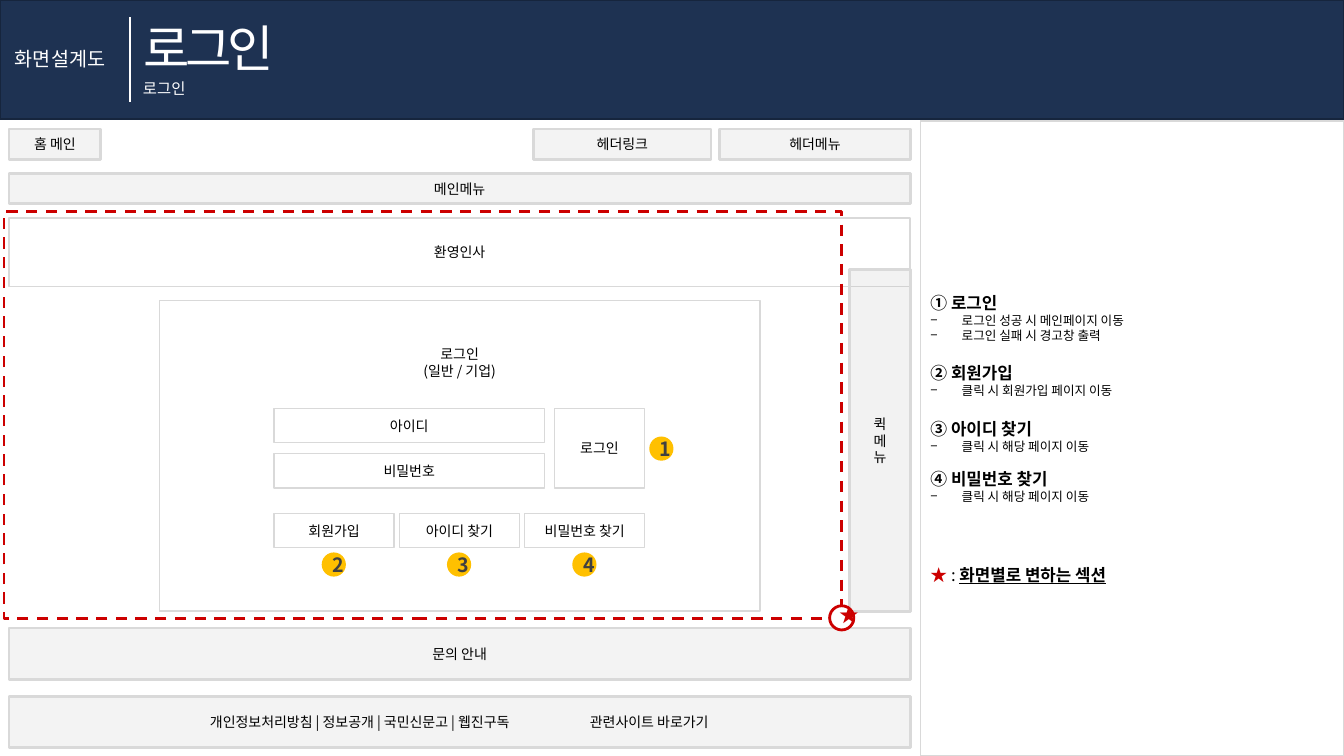
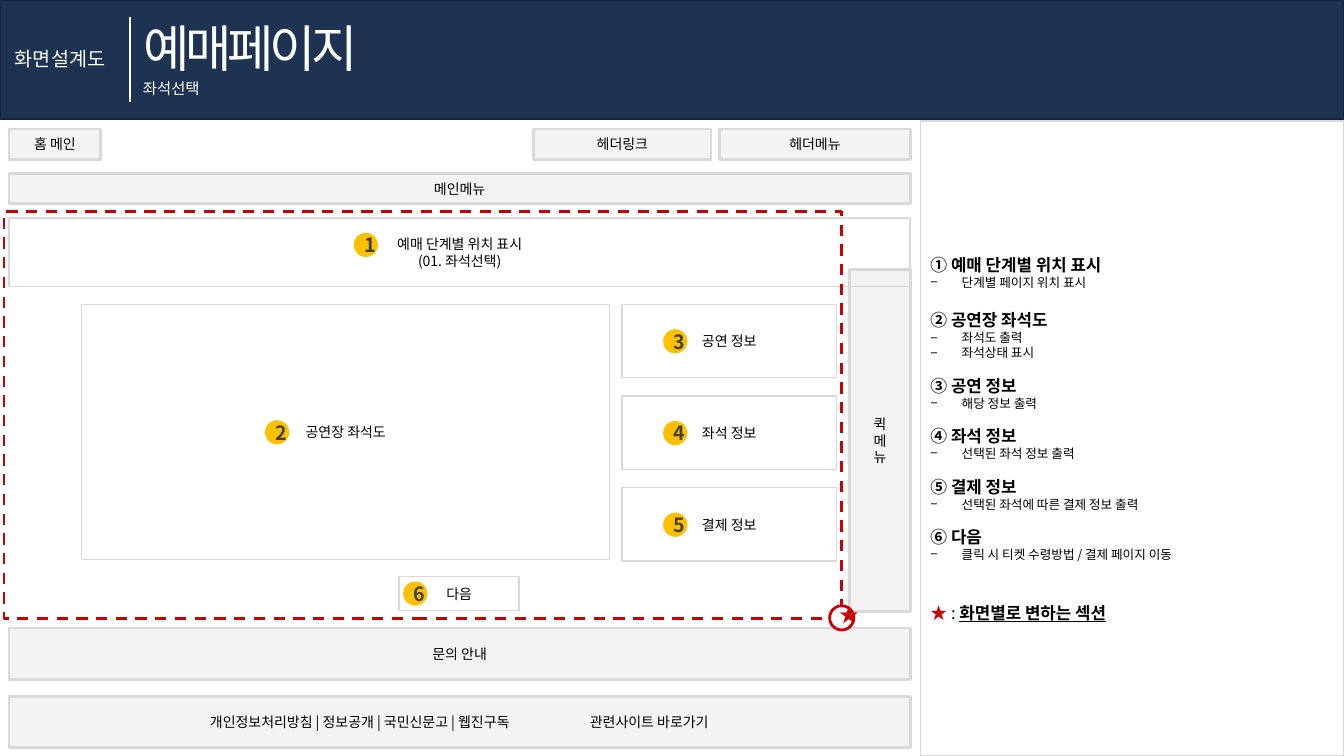
from collections import namedtuple
from dataclasses import dataclass

from lxml.etree import SubElement
from pptx import Presentation
from pptx.dml.color import RGBColor
from pptx.enum.dml import MSO_LINE
from pptx.enum.shapes import MSO_CONNECTOR, MSO_SHAPE
from pptx.enum.text import MSO_ANCHOR, MSO_AUTO_SIZE, PP_ALIGN
from pptx.oxml.ns import qn
from pptx.util import Pt


@dataclass(frozen=True)
class Theme:
    navy: str = "1E3252"
    edge: str = "16253D"
    white: str = "FFFFFF"
    black: str = "000000"
    dark: str = "404040"
    gray: str = "D9D9D9"
    steel: str = "BFBFBF"
    red: str = "CC0000"
    gold: str = "FFC000"
    face: str = "Noto Sans CJK KR"
    latin: str = "Roboto"
    title: float = 36
    mark: float = 14
    head: float = 12
    sub: float = 11
    body: float = 10
    small: float = 9
    lead: float = 1.2
    thin: float = 1
    thick: float = 2


T = Theme()
DOT = 17.3


class Box(namedtuple("Box", "x y w h")):
    def inner(self, x, y, w, h):
        return Box(self.x + x, self.y + y, w, h)

    def pts(self):
        return [Pt(round(v, 2)) for v in self]


def say(para, text, size=T.body, color=T.black, face=T.face, bold=False,
        under=False, track=0):
    run = para.add_run()
    run.text = text
    font = run.font
    font.name = face
    SubElement(font._element, qn("a:ea"), typeface=T.face)
    font.size = Pt(size)
    font.bold = bold
    font.underline = under
    font.color.rgb = RGBColor.from_string(color)
    if track:
        font._element.set("spc", str(track * 100))
    para.line_spacing = Pt(round(size * T.lead, 2))


def fill(frame, text, align=PP_ALIGN.CENTER, **form):
    for num, line in enumerate(text.split("\n")):
        para = frame.add_paragraph() if num else frame.paragraphs[0]
        para.alignment = align
        say(para, line, **form)


def paint(shape, tint=None, line=None, width=T.thin, alpha=None):
    if tint:
        shape.fill.solid()
        shape.fill.fore_color.rgb = RGBColor.from_string(tint)
    else:
        shape.fill.background()
    if alpha:
        color = shape._element.spPr.find(qn("a:solidFill"))[0]
        SubElement(color, qn("a:alpha"), val=str(alpha * 1000))
    if line:
        shape.line.color.rgb = RGBColor.from_string(line)
        shape.line.width = Pt(width)
    else:
        shape.line.fill.background()


def draw(slide, area, text="", kind=MSO_SHAPE.RECTANGLE, tint=T.white,
         line=T.gray, width=T.thin, alpha=None, **form):
    shape = slide.shapes.add_shape(kind, *area.pts())
    shape.shadow.inherit = False
    paint(shape, tint, line, width, alpha)
    if text:
        fill(shape.text_frame, text, **form)
    return shape


def pane(slide, area, text="", tint=T.gray, alpha=30):
    return draw(slide, area, text, tint=tint, alpha=alpha, width=T.thick)


def badge(slide, area, num):
    draw(slide, area, str(num), kind=MSO_SHAPE.OVAL, tint=T.gold, line=None,
         size=T.mark, color=T.dark, bold=True)


def label(slide, area, text, **form):
    frame = slide.shapes.add_textbox(*area.pts()).text_frame
    frame.word_wrap = True
    fill(frame, text, **form)


def place(shape, area):
    shape.left, shape.top, shape.width, shape.height = area.pts()
    frame = shape.text_frame
    frame.auto_size = MSO_AUTO_SIZE.NONE
    frame.vertical_anchor = MSO_ANCHOR.MIDDLE
    return frame


def banner(slide, area, title, sub):
    band = draw(slide, area, tint=T.navy, line=T.edge)
    tree = band._element.getparent()
    tree.insert(2, band._element)
    left = dict(align=PP_ALIGN.LEFT, color=T.white)
    frame = place(slide.shapes.title, area.inner(95, 8, 500, 51))
    fill(frame, title, size=T.title, track=-3, **left)
    label(slide, area.inner(3.6, 30.2, 85, 24.5), "화면설계도", size=T.mark, **left)
    label(slide, area.inner(95, 53.3, 300, 21), sub, size=T.sub, face=T.latin, **left)
    x, top, _, tall = area.inner(92.9, 12.2, 0, 60.5).pts()
    rule = slide.shapes.add_connector(MSO_CONNECTOR.STRAIGHT, x, top, x, top + tall)
    rule.line.color.rgb = RGBColor.from_string(T.white)
    rule.line.width = Pt(1.5)
    SubElement(rule._element.spPr, qn("a:effectLst"))


def wire(slide, area, greet):
    for x, y, w, h, text in (
        (6.5, 7.2, 65.5, 21.6, "홈 메인"),
        (381.2, 7.2, 126.7, 21.6, "헤더링크"),
        (514, 7.2, 136.2, 21.6, "헤더메뉴"),
        (6.5, 39, 643.7, 21.6, "메인메뉴"),
        (6.5, 363.6, 643.7, 36.7, "문의 안내"),
    ):
        pane(slide, area.inner(x, y, w, h), text)
    foot = pane(slide, area.inner(6.5, 412.5, 643.7, 36.7))
    frame = foot.text_frame
    frame.margin_left = Pt(143.5)
    tabs = SubElement(frame.paragraphs[0]._p.get_or_add_pPr(), qn("a:tabLst"))
    SubElement(tabs, qn("a:tab"), pos=str(Pt(271.4)), algn="l")
    fill(frame, "개인정보처리방침 | 정보공개 | 국민신문고 | 웹진구독\t관련사이트 바로가기",
         align=PP_ALIGN.LEFT)
    draw(slide, area.inner(6.5, 70.8, 643.7, 49), greet)
    pane(slide, area.inner(607, 107.6, 43.2, 244), "퀵\n메\n뉴", tint=T.steel, alpha=20)


def zone(slide, area):
    edge = draw(slide, area, tint=None, line=T.red, width=T.thick)
    edge.line.dash_style = MSO_LINE.DASH
    ring = area.inner(area.w - 8.6, area.h - 9.4, DOT, DOT)
    draw(slide, ring, kind=MSO_SHAPE.OVAL, line=T.red, width=T.thick)
    label(slide, ring.inner(0, -5.8, DOT, 24.5), "★", size=T.mark, color=T.red)


def login(slide, area):
    card = area.inner(110.9, 63.4, 429, 221.8)
    form = draw(slide, card, "로그인\n(일반 / 기업)")
    form.text_frame.vertical_anchor = MSO_ANCHOR.TOP
    form.text_frame.margin_top = Pt(32)
    for row, text in enumerate(("아이디", "비밀번호")):
        draw(slide, card.inner(82, 77 + row * 32.4, 193, 24.6), text)
    draw(slide, card.inner(282.2, 77, 64.4, 57), "로그인")
    badge(slide, card.inner(350, 97.2, DOT, DOT), 1)
    for col, text in enumerate(("회원가입", "아이디 찾기", "비밀번호 찾기")):
        key = card.inner(82 + col * 89.5, 152, 85.7, 24.6)
        draw(slide, key, text)
        badge(slide, key.inner(34, 28, DOT, DOT), col + 2)


def seats(slide, area):
    plan = area.inner(55.4, 66.2, 377.3, 182.2)
    draw(slide, plan, "공연장 좌석도")
    badge(slide, area.inner(249.8, 15.1, DOT, DOT), 1)
    badge(slide, plan.inner(131, 82.8, DOT, DOT), 2)
    for row, text in enumerate(("공연 정보", "좌석 정보", "결제 정보")):
        card = plan.inner(385.9, row * 65.5, 153.4, 52.4)
        draw(slide, card, text)
        badge(slide, card.inner(29.5, 17.8, DOT, DOT), row + 3)
    key = area.inner(282.2, 260.6, 85.7, 24.5)
    draw(slide, key, "다음")
    badge(slide, key.inner(2.9, 3.6, DOT, DOT), 6)


def notes(slide, area, items, tail):
    panel = slide.placeholders[1]
    frame = place(panel, area)
    paint(panel, T.white, T.gray)

    def line(gap=0, mark=None):
        first = not frame.paragraphs[0].runs
        para = frame.paragraphs[0] if first else frame.add_paragraph()
        prop = para._p.get_or_add_pPr()
        dent = Pt(22.3) if mark else 0
        prop.set("marL", str(dent))
        prop.set("indent", str(-dent))
        if mark:
            SubElement(prop, qn("a:buChar"), char=mark)
        else:
            SubElement(prop, qn("a:buNone"))
        para.alignment = PP_ALIGN.LEFT
        para.space_before = Pt(gap)
        return para

    for gap, head, rows in items:
        say(line(gap), head, size=T.head, bold=True)
        for row in rows:
            say(line(mark="−"), row, size=T.small)
    para = line(tail)
    say(para, "★ ", size=T.head, color=T.red, bold=True)
    say(para, ": ", size=T.head)
    say(para, "화면별로 변하는 섹션", size=T.head, bold=True, under=True)


WIDE, SLIM = 14.4, 10.8
PAGES = (
    ("로그인", "로그인", "환영인사", login, 43.2, (
        (0, "① 로그인", ("로그인 성공 시 메인페이지 이동", "로그인 실패 시 경고창 출력")),
        (WIDE, "② 회원가입", ("클릭 시 회원가입 페이지 이동",)),
        (WIDE, "③ 아이디 찾기", ("클릭 시 해당 페이지 이동",)),
        (SLIM, "④ 비밀번호 찾기", ("클릭 시 해당 페이지 이동",)),
    )),
    ("예매페이지", "좌석선택", "예매 단계별 위치 표시\n(01. 좌석선택)", seats, 28.8, (
        (0, "① 예매 단계별 위치 표시", ("단계별 페이지 위치 표시",)),
        (WIDE, "② 공연장 좌석도", ("좌석도 출력", "좌석상태 표시")),
        (SLIM, "③ 공연 정보", ("해당 정보 출력",)),
        (SLIM, "④ 좌석 정보", ("선택된 좌석 정보 출력",)),
        (SLIM, "⑤ 결제 정보", ("선택된 좌석에 따른 결제 정보 출력",)),
        (SLIM, "⑥ 다음", ("클릭 시 티켓 수령방법 / 결제 페이지 이동",)),
    )),
)


def main():
    deck = Presentation()
    deck.slide_width, deck.slide_height = Pt(960), Pt(540)
    page = Box(0, 0, 960, 540)
    for title, sub, greet, build, tail, items in PAGES:
        slide = deck.slides.add_slide(deck.slide_layouts[1])
        banner(slide, page.inner(0, 0, 960, 85), title, sub)
        wire(slide, page.inner(0, 85, 657, 455), greet)
        area = page.inner(2.9, 151.2, 598.3, 290.9)
        build(slide, area)
        zone(slide, area)
        notes(slide, page.inner(657.4, 86.4, 302.6, 453.6), items, tail)
    deck.save("out.pptx")


if __name__ == "__main__":
    main()
